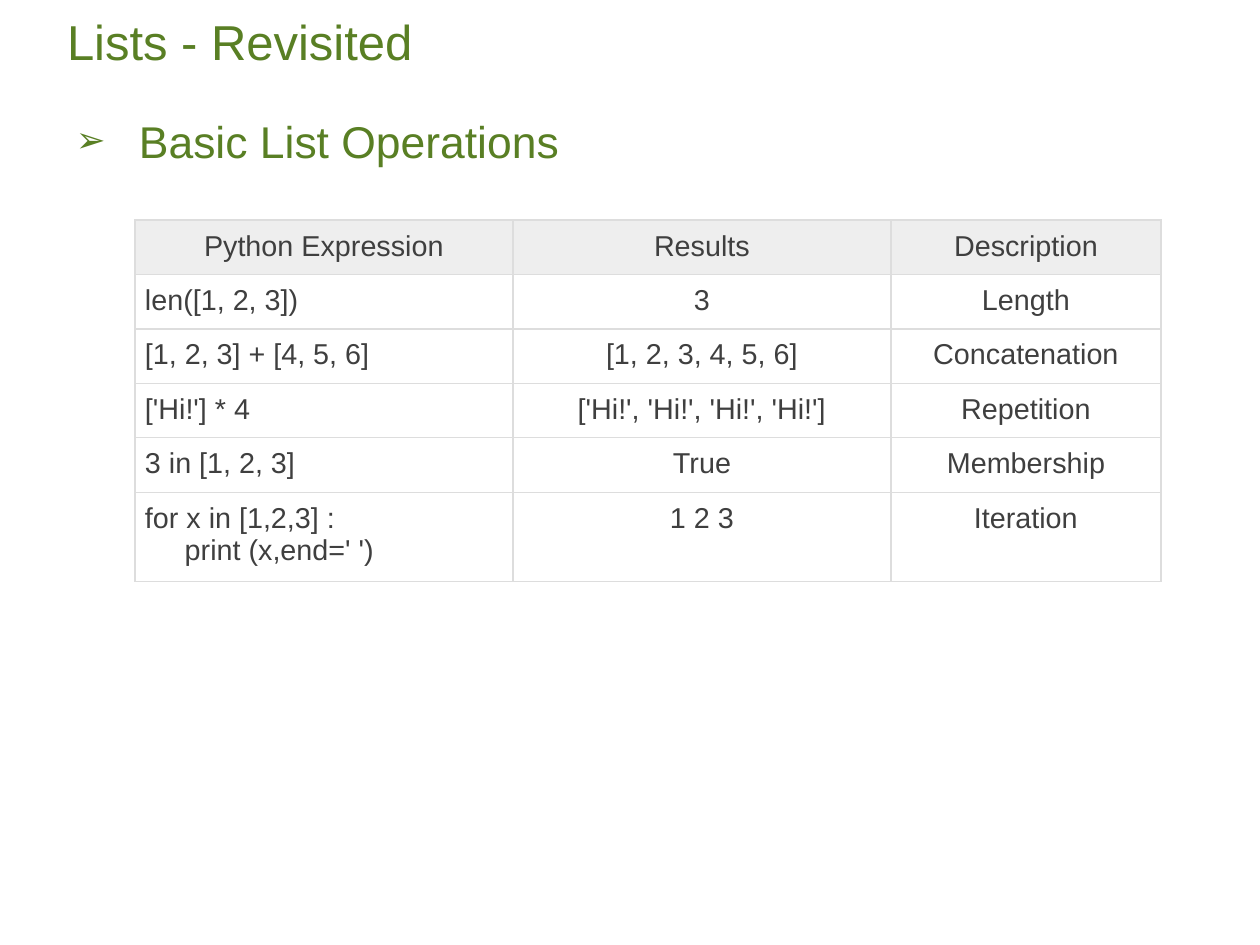
from dataclasses import dataclass

from lxml.etree import SubElement
from pptx import Presentation
from pptx.dml.color import RGBColor as Rgb
from pptx.enum.text import MSO_ANCHOR as Anchor, PP_ALIGN as Align
from pptx.oxml.ns import qn
from pptx.util import Emu, Pt

SCALE = 914400 / 126


@dataclass(frozen=True)
class Theme:
    font: str = "Arial"
    green: str = "597F24"
    ink: str = "3F3F3F"
    head: str = "EEEEEE"
    rule: str = "DDDDDD"
    title: float = 28
    topic: float = 25.4
    cell: float = 16.4
    line: float = 0.75


THEME = Theme()

ROWS = [
    ("Python Expression", "Results", "Description"),
    ("len([1, 2, 3])", "3", "Length"),
    ("[1, 2, 3] + [4, 5, 6]", "[1, 2, 3, 4, 5, 6]", "Concatenation"),
    ("['Hi!'] * 4", "['Hi!', 'Hi!', 'Hi!', 'Hi!']", "Repetition"),
    ("3 in [1, 2, 3]", "True", "Membership"),
    ("for x in [1,2,3] :\n     print (x,end=' ')", "1 2 3", "Iteration"),
]


def px(num):
    return Emu(round(num * SCALE))


def add_run(para, text, size, color):
    run = para.add_run()
    run.text = text
    run.font.name = THEME.font
    run.font.size = Pt(size)
    run.font.color.rgb = Rgb.from_string(color)


def set_pads(part, left, top, right, low):
    part.margin_left, part.margin_top = px(left), px(top)
    part.margin_right, part.margin_bottom = px(right), px(low)


def add_title(slide, box):
    shape = slide.shapes.title
    shape.left, shape.top, shape.width, shape.height = map(px, box)
    frame = shape.text_frame
    frame.vertical_anchor = Anchor.BOTTOM
    set_pads(frame, 13, 5, 13, 6)
    para = frame.paragraphs[0]
    para.alignment = Align.LEFT
    para.line_spacing = 0.9
    add_run(para, "Lists - Revisited", THEME.title, THEME.green)


def add_topic(slide, box):
    frame = slide.shapes.add_textbox(*map(px, box)).text_frame
    frame.word_wrap = True
    set_pads(frame, 13, 11, 13, 6)
    para = frame.paragraphs[0]
    para.alignment = Align.JUSTIFY
    add_bullet(para, "➢", 63)
    add_run(para, "Basic List Operations", THEME.topic, THEME.green)


def add_bullet(para, mark, hang):
    props = para._p.get_or_add_pPr()
    props.set("marL", str(px(hang)))
    props.set("indent", str(-px(hang)))
    SubElement(props, qn("a:buSzPct"), val="80000")
    SubElement(props, qn("a:buFont"), typeface=THEME.font)
    SubElement(props, qn("a:buChar"), char=mark)


def add_border(cell):
    props = cell._tc.get_or_add_tcPr()
    for side in ("lnL", "lnR", "lnT", "lnB"):
        line = SubElement(props, qn(f"a:{side}"), w=str(Pt(THEME.line)))
        fill = SubElement(line, qn("a:solidFill"))
        SubElement(fill, qn("a:srgbClr"), val=THEME.rule)


def fill_cell(cell, text, head, align):
    set_pads(cell, 10, 10, 10, 10)
    cell.vertical_anchor = Anchor.TOP
    add_border(cell)
    if head:
        cell.fill.solid()
        cell.fill.fore_color.rgb = Rgb.from_string(THEME.head)
    else:
        cell.fill.background()
    frame = cell.text_frame
    for num, line in enumerate(text.split("\n")):
        para = frame.add_paragraph() if num else frame.paragraphs[0]
        para.alignment = align
        add_run(para, line, THEME.cell, THEME.ink)


def add_grid(slide, box):
    """Equal rows, with a taller last one for the two-line loop."""
    _, _, width, height = box
    wide, last = 378, 88
    count = len(ROWS)
    shape = slide.shapes.add_table(count, len(ROWS[0]), *map(px, box))
    table = shape.table
    table.first_row = table.horz_banding = False
    for col, size in zip(table.columns, (wide, wide, width - 2 * wide)):
        col.width = px(size)
    for num, row in enumerate(table.rows):
        row.height = px(last if num == count - 1 else (height - last) / (count - 1))
    for r, texts in enumerate(ROWS):
        for c, text in enumerate(texts):
            align = Align.LEFT if r and not c else Align.CENTER
            fill_cell(table.cell(r, c), text, r == 0, align)


def main():
    deck = Presentation()
    deck.slide_width, deck.slide_height = px(1260), px(945)
    slide = deck.slides.add_slide(deck.slide_layouts[5])
    add_title(slide, (54, 14, 1134, 63))
    add_topic(slide, (63, 103, 1134, 828))
    add_grid(slide, (135, 220, 1026, 355))
    deck.save("out.pptx")


if __name__ == "__main__":
    main()
